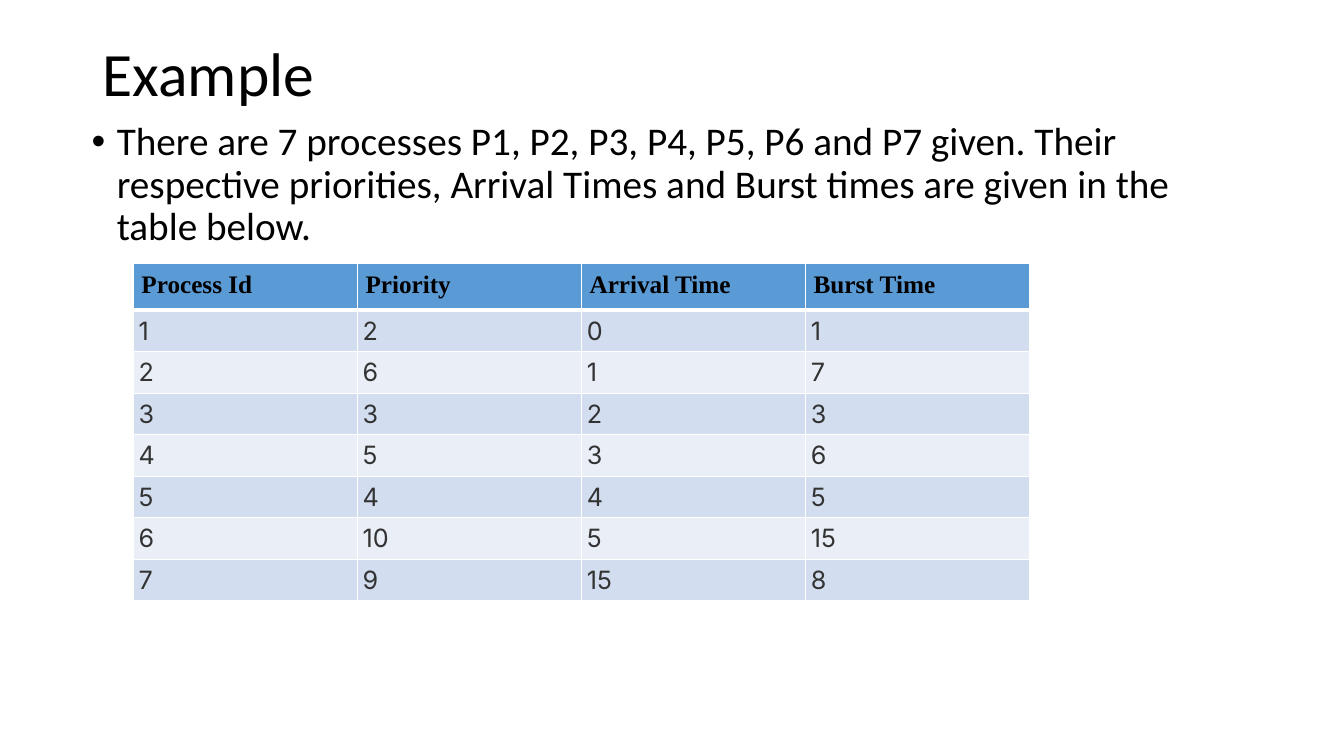
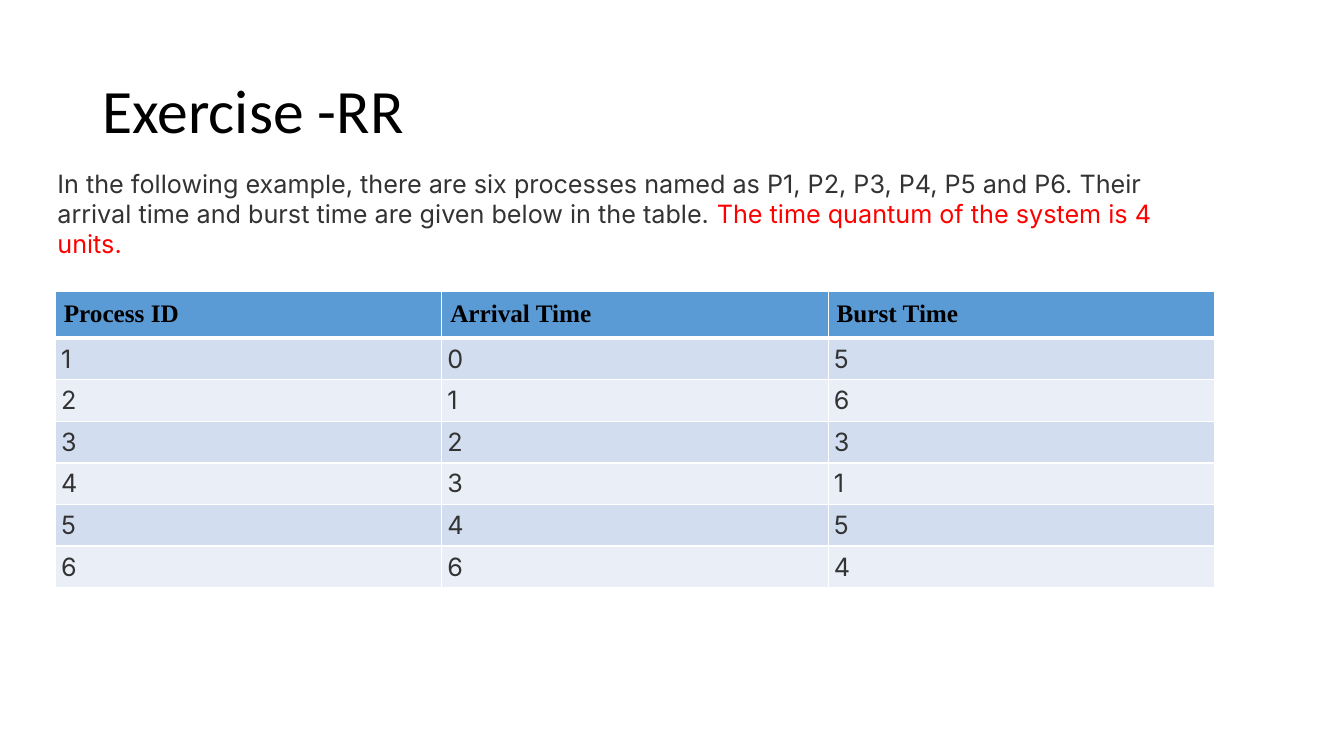
"""Build two slides with process scheduling tables."""
import dataclasses

import lxml.etree
import pptx
import pptx.dml.color
import pptx.enum.text
import pptx.oxml.ns
import pptx.util


@dataclasses.dataclass(frozen=True)
class Font:
    """Typeface, size in points, colour and weight of a run."""
    name: str
    size: int
    color: str
    bold: bool = False


@dataclasses.dataclass(frozen=True)
class Theme:
    """Colours, fonts and measures shared by the slides."""
    title: Font = Font("Calibri", 44, "000000")
    body: Font = Font("Calibri", 28, "000000")
    header: Font = Font("Times New Roman", 18, "000000", True)
    text: Font = Font("Inter", 18, "333333")
    accent: Font = Font("Inter", 18, "FF0000")
    background: str = "FFFFFF"
    border: str = "FFFFFF"
    header_fill: str = "5B9BD5"
    band_fills: tuple = ("EAEFF7", "D2DEEF")
    header_margin: int = 6
    cell_margin: int = 4
    thin_line: int = 1
    thick_line: int = 3
    row_height: float = 5.5
    title_area: tuple = (6.9, 5.33, 86.25, 19.33)


def rgb(color):
    """Turn a hex string into a colour."""
    return pptx.dml.color.RGBColor.from_string(color)


def add_element(parent, tag, **attributes):
    """Append a drawing element with the given attributes."""
    return lxml.etree.SubElement(parent, pptx.oxml.ns.qn(tag), attributes)


class Deck:
    """Holds the theme and the current slide; areas are percentages of the slide."""

    def __init__(self, presentation, theme):
        """Keep the presentation and its theme."""
        self.presentation = presentation
        self.theme = theme
        self.slide = None

    def across(self, share):
        """Convert a percentage of the slide width to a length."""
        return round(self.presentation.slide_width * share / 100)

    def down(self, share):
        """Convert a percentage of the slide height to a length."""
        return round(self.presentation.slide_height * share / 100)

    def start(self, title, lift=0):
        """Add a blank slide with a title, raised by lift percent."""
        self.slide = self.presentation.slides.add_slide(
            self.presentation.slide_layouts[6])
        fill = self.slide.background.fill
        fill.solid()
        fill.fore_color.rgb = rgb(self.theme.background)
        frame = self.text(self.theme.title_area, [(title, self.theme.title)])
        frame.vertical_anchor = pptx.enum.text.MSO_ANCHOR.MIDDLE
        frame.margin_bottom += self.down(2 * lift)
        frame.paragraphs[0].line_spacing = 0.9

    def add_runs(self, paragraph, runs):
        """Add (wording, font) runs to a paragraph."""
        for wording, font in runs:
            run = paragraph.add_run()
            run.text = wording
            run.font.name = font.name
            run.font.size = pptx.util.Pt(font.size)
            run.font.bold = font.bold
            run.font.color.rgb = rgb(font.color)

    def text(self, area, runs):
        """Add a wrapping text box and return its text frame."""
        left, top, width, height = area
        shape = self.slide.shapes.add_textbox(
            self.across(left), self.down(top),
            self.across(width), self.down(height))
        frame = shape.text_frame
        frame.word_wrap = True
        self.add_runs(frame.paragraphs[0], runs)
        return frame

    def bullet(self, area, wording):
        """Add a text box with one bulleted paragraph."""
        frame = self.text(area, [(wording, self.theme.body)])
        paragraph = frame.paragraphs[0]
        paragraph.line_spacing = 0.9
        paragraph.space_before = pptx.util.Pt(10)
        properties = paragraph._p.get_or_add_pPr()
        indent = pptx.util.Inches(0.25)
        properties.set("marL", str(indent))
        properties.set("indent", str(-indent))
        add_element(properties, "a:buFont", typeface="Arial")
        add_element(properties, "a:buChar", char="\u2022")

    def table(self, left, top, width, rows):
        """Add a banded table whose first row is the header."""
        shape = self.slide.shapes.add_table(
            len(rows), len(rows[0]), self.across(left), self.down(top),
            self.across(width), self.down(self.theme.row_height * len(rows)))
        shape.table.first_row = shape.table.horz_banding = False
        for row_index, row in enumerate(rows):
            for column_index, value in enumerate(row):
                cell = shape.table.cell(row_index, column_index)
                self.cell(cell, row_index, str(value))

    def cell(self, cell, row_index, wording):
        """Fill, border and letter one table cell."""
        theme = self.theme
        paragraph = cell.text_frame.paragraphs[0]
        if row_index == 0:
            font, fill, margin = theme.header, theme.header_fill, theme.header_margin
        else:
            font, fill, margin = theme.text, theme.band_fills[row_index % 2], theme.cell_margin
            paragraph.alignment = pptx.enum.text.PP_ALIGN.JUSTIFY
        self.add_runs(paragraph, [(wording, font)])
        margin = pptx.util.Pt(margin)
        cell.margin_left = cell.margin_right = margin
        cell.margin_top = cell.margin_bottom = margin
        self.borders(cell, row_index)
        cell.fill.solid()
        cell.fill.fore_color.rgb = rgb(fill)

    def borders(self, cell, row_index):
        """Draw the cell's edges, with a thick rule under the header."""
        thin, thick = self.theme.thin_line, self.theme.thick_line
        widths = {"L": thin, "R": thin,
                  "T": thick if row_index == 1 else thin,
                  "B": thick if row_index == 0 else thin}
        properties = cell._tc.get_or_add_tcPr()
        for side, width in widths.items():
            line = add_element(properties, "a:ln" + side, w=str(pptx.util.Pt(width)))
            add_element(add_element(line, "a:solidFill"), "a:srgbClr",
                        val=self.theme.border)


def add_priority_slide(deck):
    """Show the priority scheduling example."""
    deck.start("Example", lift=4.9)
    deck.bullet(
        (6.08, 15.47, 87, 74.67),
        "There are 7 processes P1, P2, P3, P4, P5, P6 and P7 given. Their "
        "respective priorities, Arrival Times and Burst times are given in "
        "the table below.")
    deck.table(9.9, 34.8, 66.7, [
        ("Process Id", "Priority", "Arrival Time", "Burst Time"),
        (1, 2, 0, 1),
        (2, 6, 1, 7),
        (3, 3, 2, 3),
        (4, 5, 3, 6),
        (5, 4, 4, 5),
        (6, 10, 5, 15),
        (7, 9, 15, 8),
    ])


def add_round_robin_slide(deck):
    """Show the round robin exercise."""
    deck.start("Exercise -RR")
    deck.table(4.13, 38.53, 86.25, [
        ("Process ID", "Arrival Time", "Burst Time"),
        (1, 0, 5),
        (2, 1, 6),
        (3, 2, 3),
        (4, 3, 1),
        (5, 4, 5),
        (6, 6, 4),
    ])
    frame = deck.text((3.53, 21.6, 86.05, 9.47), [
        ("In the following example, there are six processes named as P1, P2, "
         "P3, P4, P5 and P6. Their arrival time and burst time are given below "
         "in the table. ", deck.theme.text),
        ("The time quantum of the system is 4 units.", deck.theme.accent),
    ])
    frame.auto_size = pptx.enum.text.MSO_AUTO_SIZE.SHAPE_TO_FIT_TEXT


def main():
    """Build and save the presentation."""
    presentation = pptx.Presentation()
    presentation.slide_width = pptx.util.Inches(13.33)
    presentation.slide_height = pptx.util.Inches(7.5)
    deck = Deck(presentation, Theme())
    add_priority_slide(deck)
    add_round_robin_slide(deck)
    presentation.save("out.pptx")


main()
